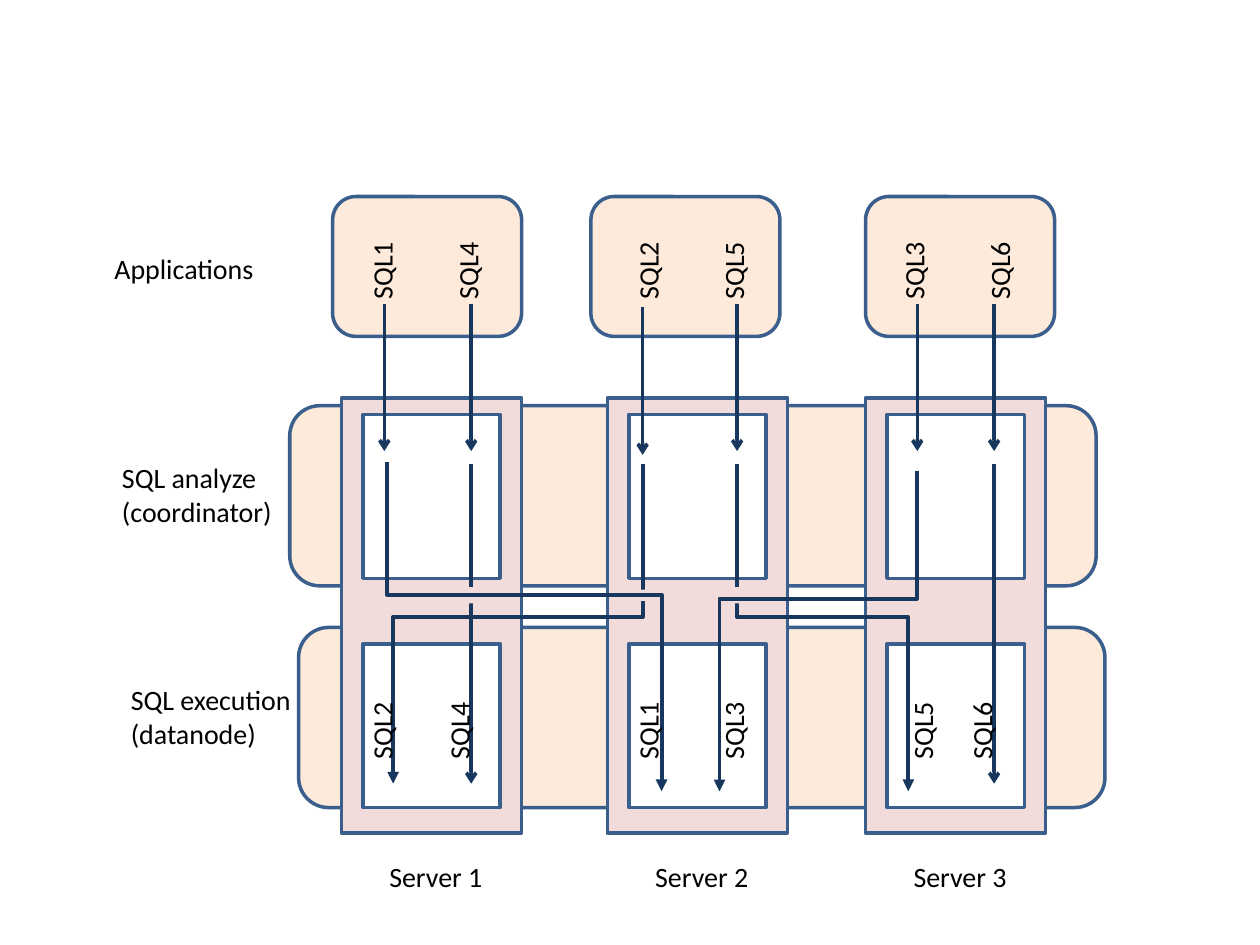
from lxml import etree
from pptx import Presentation
from pptx.dml.color import RGBColor
from pptx.enum.shapes import MSO_CONNECTOR, MSO_SHAPE
from pptx.enum.text import MSO_AUTO_SIZE, PP_ALIGN
from pptx.oxml.ns import qn
from pptx.util import Inches, Pt

RECT, ROUND = MSO_SHAPE.RECTANGLE, MSO_SHAPE.ROUNDED_RECTANGLE
STRAIGHT, ELBOW = MSO_CONNECTOR.STRAIGHT, MSO_CONNECTOR.ELBOW
LEFT, CENTER = PP_ALIGN.LEFT, PP_ALIGN.CENTER
GROW = MSO_AUTO_SIZE.SHAPE_TO_FIT_TEXT

THEME = {
    "layer": "FDEADA", "server": "F2DCDB", "node": "FFFFFF",
    "outline": "3A5F8C", "flow": "17375E", "text": "000000",
    "font": "Calibri", "size": 16, "thin": 2, "thick": 2.25,
}

APPLICATIONS = [2.64, 4.69, 6.87]  # left edges
LAYERS = [(2.37, 4.98), (2.3, 3.22)]  # execution, then analysis
SERVERS = [("Server 1", 2.71, 2.78), ("Server 2", 4.82, 4.89),
           ("Server 3", 6.87, 6.94)]  # name, box left, label left
NODE_TOPS = [3.29, 5.11]
LAYER_LABELS = [
    ("SQL analyze\n(coordinator)", 0.87, 3.61, 1.43, 0.64),
    ("SQL execution\n(datanode)", 0.94, 5.37, 1.5, 0.64),
    ("Applications", 0.81, 1.95, 1.36, 0.37),
]
# Arrows from the applications down to the coordinators: x, top
REQUESTS = [(3.05, 2.41), (3.74, 2.41), (5.1, 2.44),
            (5.85, 2.41), (7.28, 2.41), (7.89, 2.41)]
REQUEST_LENGTH = 1.17
# Arrows to the datanodes, back to front, with the gaps where they cross:
# ("route", x1, y1, x2, y2, y of the bend), ("gap", left, top, height)
ROUTES = [
    ("route", 5.1, 3.68, 3.12, 6.22, 4.9),
    ("gap", 3.67, 4.92, 0.13),
    ("route", 3.74, 3.68, 3.74, 6.22, None),
    ("gap", 3.67, 4.66, 0.13),
    ("gap", 5.02, 4.68, 0.09),
    ("route", 3.07, 3.67, 5.25, 6.28, 4.72),
    ("route", 5.85, 3.68, 7.21, 6.28, 4.9),
    ("gap", 5.78, 4.66, 0.13),
    ("route", 7.28, 3.74, 5.71, 6.28, 4.75),
    ("route", 7.89, 3.68, 7.89, 6.22, None),
]
# Statements on each row: top, {text: left}
STATEMENTS = [
    (1.93, {"SQL1": 2.67, "SQL4": 3.35, "SQL2": 4.78,
            "SQL5": 5.46, "SQL3": 6.89, "SQL6": 7.57}),
    (5.58, {"SQL1": 4.78, "SQL4": 3.28, "SQL2": 2.67,
            "SQL3": 5.46, "SQL5": 6.96, "SQL6": 7.43}),
]


def color(name):
    return RGBColor.from_string(THEME[name])


def add_box(shapes, kind, x, y, w, h, fill, outlined=True):
    s = shapes.add_shape(kind, Inches(x), Inches(y), Inches(w), Inches(h))
    s.shadow.inherit = False
    s.fill.solid()
    s.fill.fore_color.rgb = color(fill)
    if outlined:
        s.line.color.rgb = color("outline")
        s.line.width = Pt(THEME["thin"])
    else:
        s.line.fill.background()


def add_label(shapes, text, x, y, w, h, align=LEFT, rotation=0):
    s = shapes.add_textbox(Inches(x), Inches(y), Inches(w), Inches(h))
    s.rotation = rotation
    tf = s.text_frame
    tf.word_wrap = True
    tf.auto_size = GROW
    tf.text = text
    for p in tf.paragraphs:
        p.alignment = align
        for r in p.runs:
            r.font.name = THEME["font"]
            r.font.size = Pt(THEME["size"])
            r.font.color.rgb = color("text")


def add_arrow(shapes, kind, x1, y1, x2, y2, width, head):
    c = shapes.add_connector(kind, Inches(x1), Inches(y1), Inches(x2), Inches(y2))
    c.line.color.rgb = color("flow")
    c.line.width = Pt(THEME[width])
    etree.SubElement(c.line._get_or_add_ln(), qn("a:tailEnd"), type=head)
    etree.SubElement(c.element.spPr, qn("a:effectLst"))
    return c


def add_bent_arrow(shapes, x1, y1, x2, y2, bend):
    """Elbow that leaves and arrives vertically: a quarter-turned connector."""
    w, h = y2 - y1, abs(x2 - x1)
    x, y = (x1 + x2 - w) / 2, (y1 + y2 - h) / 2
    c = add_arrow(shapes, ELBOW, x, y, x + w, y + h, "thick", "triangle")
    xfrm = c.element.spPr.find(qn("a:xfrm"))
    if x2 > x1:
        xfrm.set("rot", str(270 * 60000))
        xfrm.set("flipH", "1")
    else:
        xfrm.set("rot", str(90 * 60000))
    geometry = c.element.spPr.find(qn("a:prstGeom"))
    guides = geometry.find(qn("a:avLst"))
    if guides is None:
        guides = etree.SubElement(geometry, qn("a:avLst"))
    share = round((bend - y1) / w * 100000)
    etree.SubElement(guides, qn("a:gd"), name="adj1", fmla=f"val {share}")


def main():
    prs = Presentation()
    prs.slide_width, prs.slide_height = Inches(10), Inches(7.5)
    shapes = prs.slides.add_slide(prs.slide_layouts[6]).shapes

    for x in APPLICATIONS:
        add_box(shapes, ROUND, x, 1.56, 1.5, 1.11, "layer")
    for x, y in LAYERS:
        add_box(shapes, ROUND, x, y, 6.4, 1.43, "layer")
    for name, x, label_x in SERVERS:
        server = shapes.add_group_shape().shapes
        add_box(server, RECT, x, 3.16, 1.43, 3.45, "server")
        for y in NODE_TOPS:
            add_box(server, RECT, x + 0.17, y, 1.09, 1.3, "node")
        add_label(shapes, name, label_x, 6.77, 1.36, 0.37, CENTER)
    for label in LAYER_LABELS:
        add_label(shapes, *label)

    for x, y in REQUESTS:
        add_arrow(shapes, STRAIGHT, x, y, x, y + REQUEST_LENGTH, "thin", "arrow")
    for kind, *place in ROUTES:
        if kind == "gap":
            x, y, h = place
            add_box(shapes, RECT, x, y, 0.14, h, "server", outlined=False)
        elif place[-1] is None:
            add_arrow(shapes, STRAIGHT, *place[:4], "thin", "arrow")
        else:
            add_bent_arrow(shapes, *place)
    for y, row in STATEMENTS:
        for text, x in row.items():
            add_label(shapes, text, x, y, 0.72, 0.37, rotation=270)

    prs.save("out.pptx")


if __name__ == "__main__":
    main()
